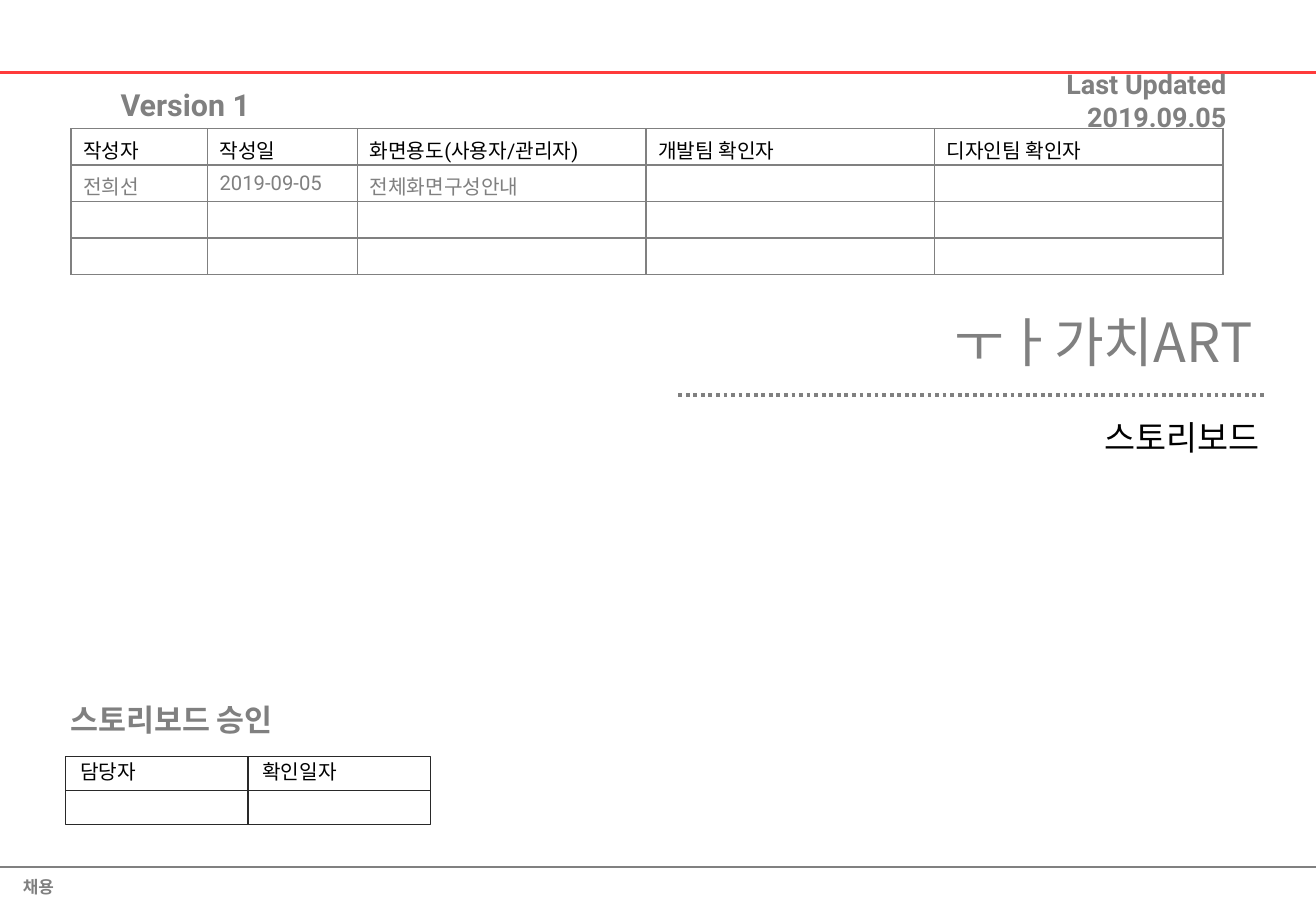
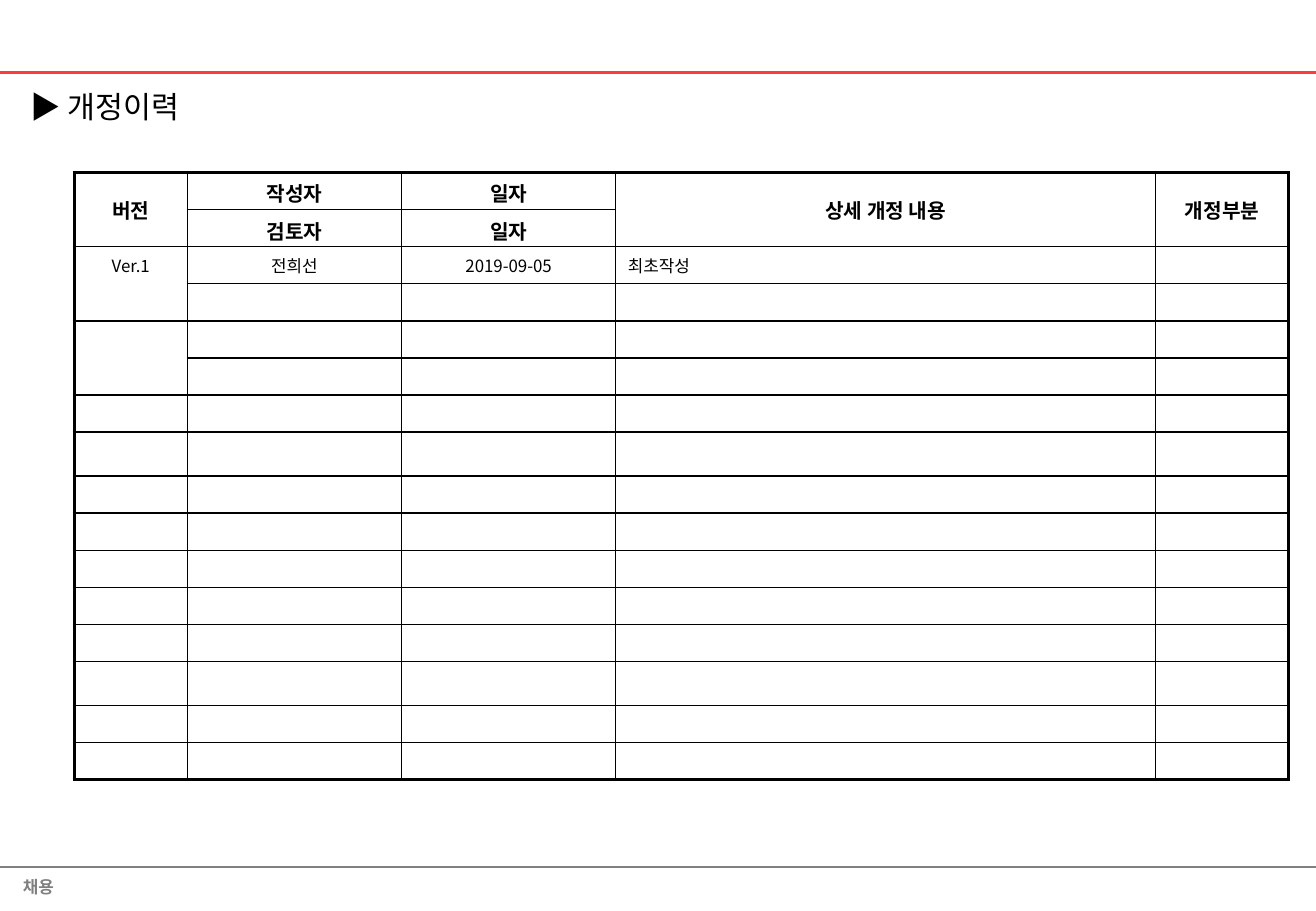
from lxml.etree import SubElement
from pptx import Presentation
from pptx.dml.color import RGBColor
from pptx.enum.dml import MSO_LINE
from pptx.enum.shapes import MSO_CONNECTOR, MSO_SHAPE
from pptx.enum.text import MSO_ANCHOR, MSO_AUTO_SIZE, PP_ALIGN
from pptx.oxml.ns import qn
from pptx.util import Pt

COLORS = {"red": "FF0000", "gray": "808080", "black": "000000", "frame": "292929"}
KOREAN, LATIN = "Noto Sans CJK KR", "Roboto"
WIDTH, HEIGHT = 780, 540
THIN, THICK = 1, 2.25


def color(name):
    """Look up a palette colour."""
    return RGBColor.from_string(COLORS[name])


def format_para(para, size, ink="black", bold=False, font=KOREAN, align=PP_ALIGN.LEFT):
    """Format every run of a paragraph, or the size of an empty one."""
    para.alignment = align
    if not para.runs:
        SubElement(para._p, qn("a:endParaRPr"), sz=str(size * 100))
    for span in para.runs:
        span.font.size, span.font.bold, span.font.name = Pt(size), bold, font
        span.font.color.rgb = color(ink)
        SubElement(span.font._element, qn("a:ea"), typeface=KOREAN)


def add_text(shapes, text, box, size, wrap=True, grow=True, **style):
    """Place a one-paragraph text box and return its frame."""
    frame = shapes.add_textbox(*map(Pt, box)).text_frame
    frame.text = text
    frame.word_wrap = wrap
    frame.auto_size = MSO_AUTO_SIZE.SHAPE_TO_FIT_TEXT if grow else MSO_AUTO_SIZE.NONE
    format_para(frame.paragraphs[0], size, **style)
    return frame


def add_rule(page, left, right, top, ink, weight):
    """Draw a horizontal rule without a shadow."""
    rule = page.shapes.add_connector(
        MSO_CONNECTOR.STRAIGHT, Pt(left), Pt(top), Pt(right), Pt(top))
    rule.line.color.rgb = color(ink)
    rule.line.width = Pt(weight)
    SubElement(rule._element.spPr, qn("a:effectLst"))
    return rule


def add_page(deck):
    """Start a page with the shared header rule and footer."""
    page = deck.slides.add_slide(deck.slide_layouts[6])
    header = add_rule(page, 0, WIDTH, 43, "red", 1.5)
    tint = header.line._ln.find(".//" + qn("a:srgbClr"))
    SubElement(tint, qn("a:alpha"), val="76000")
    add_rule(page, 0, WIDTH, 514, "gray", 0.75)
    add_text(page.shapes, "채용", (6.5, 516, 34.5, 19.5), 10,
             wrap=False, ink="gray", bold=True)
    return page


def set_borders(cell, ink, widths):
    """Give a cell solid left, right, top and bottom borders and no fill."""
    properties = cell._tc.get_or_add_tcPr()
    for side, width in zip("LRTB", widths):
        line = SubElement(properties, qn("a:ln" + side), w=str(Pt(width)))
        fill = SubElement(line, qn("a:solidFill"))
        SubElement(fill, qn("a:srgbClr"), val=COLORS[ink])
    cell.fill.background()


def add_grid(page, left, top, columns, rows, ink, outer=THIN):
    """Add an unstyled table with ruled cells."""
    table = page.shapes.add_table(len(rows), len(columns), Pt(left), Pt(top),
                                  Pt(sum(columns)), Pt(sum(rows))).table
    table.first_row = table.horz_banding = False
    for column, width in zip(table.columns, columns):
        column.width = Pt(width)
    for row, height in zip(table.rows, rows):
        row.height = Pt(height)
    last_row, last_column = len(rows) - 1, len(columns) - 1
    for r in range(len(rows)):
        for c in range(len(columns)):
            edges = (c == 0, c == last_column, r == 0, r == last_row)
            cell = table.cell(r, c)
            cell.margin_bottom = 0
            set_borders(cell, ink, [outer if edge else THIN for edge in edges])
    return table


def fill_grid(table, texts, style_of):
    """Write the texts; style_of(row, column) gives each cell's format."""
    for r in range(len(table.rows)):
        for c in range(len(table.columns)):
            cell = table.cell(r, c)
            text = texts[r][c] if r < len(texts) else ""
            if text:
                cell.text = text
            format_para(cell.text_frame.paragraphs[0], **style_of(r, c))


def add_author_table(page, left, top):
    """Add the table of authors and reviewers."""
    table = add_grid(page, left, top, [81, 89] + [171] * 3, [21.6] * 4, "gray")
    texts = [
        ["작성자", "작성일", "화면용도(사용자/관리자)", "개발팀 확인자", "디자인팀 확인자"],
        ["전희선", "2019-09-05", "전체화면구성안내", "", ""],
    ]
    fill_grid(table, texts, lambda r, c: dict(
        size=12, font=LATIN, ink="gray" if r else "black"))


def add_approval(page, left, top):
    """Add the two-by-two approval boxes with their labels."""
    group = page.shapes.add_group_shape()
    width, height = 108, 20.2
    for c, label in enumerate(["담당자", "확인일자"]):
        for r in range(2):
            frame = group.shapes.add_shape(
                MSO_SHAPE.RECTANGLE, Pt(left + c * width), Pt(top + r * height),
                Pt(width), Pt(height))
            frame.shadow.inherit = False
            frame.fill.background()
            frame.line.color.rgb = color("frame")
            frame.line.width = Pt(0.75)
        add_text(group.shapes, label,
                 (left + c * width + 1.4, top - 2.2, 50 + 12 * c, 21.8), 12, wrap=False)


def add_cover(deck):
    """Build the storyboard cover."""
    page = add_page(deck)
    heading = dict(ink="gray", bold=True, font=LATIN)
    dots = add_rule(page, 402, 750, 234, "gray", 2.25)
    dots.line.dash_style = MSO_LINE.ROUND_DOT
    subtitle = add_text(page.shapes, "스토리보드", (303, 236, 451, 62.6), 20,
                        grow=False, align=PP_ALIGN.RIGHT)
    subtitle.paragraphs[0].line_spacing = 1.3
    title = add_text(page.shapes, "ㅜㅏ가치ART", (56, 185, 693.5, 34.6), 32,
                     grow=False, ink="gray", align=PP_ALIGN.RIGHT)
    title.vertical_anchor = MSO_ANCHOR.MIDDLE
    version = add_text(page.shapes, "Version 1", (42.5, 47.5, 152, 28.8), 18, **heading)
    version.margin_left = Pt(29)
    add_author_table(page, 42, 76.3)
    add_text(page.shapes, "Last Updated 2019.09.05", (596, 36.7, 138, 46), 16,
             align=PP_ALIGN.RIGHT, **heading)
    add_approval(page, 39, 448.5)
    add_text(page.shapes, "스토리보드 승인", (34.6, 412, 152.6, 28.8), 18, **heading)


def add_revision_table(page, left, top):
    """Add the revision table with its merged heading and version cells."""
    rows = [26 if r in (7, 13) else 22 for r in range(16)]
    table = add_grid(page, left, top, [67, 127, 127, 320, 79], rows, "black", THICK)
    for r, c in [(0, 0), (0, 3), (0, 4), (2, 0), (4, 0)]:
        cell = table.cell(r, c)
        cell.merge(table.cell(r + 1, c))
        if r == 0:
            cell.vertical_anchor = MSO_ANCHOR.MIDDLE
            cell.margin_bottom = Pt(3.6)
    texts = [
        ["버전", "작성자", "일자", "상세 개정 내용", "개정부분"],
        ["", "검토자", "일자", "", ""],
        ["Ver.1", "전희선", "2019-09-05", "최초작성", ""],
    ]
    fill_grid(table, texts, lambda r, c: dict(
        size=12 if r < 2 else 10, bold=r < 2,
        align=PP_ALIGN.LEFT if r >= 2 and c == 3 else PP_ALIGN.CENTER))


def add_history(deck):
    """Build the revision history page."""
    page = add_page(deck)
    add_text(page.shapes, "▶ 개정이력", (11, 49, 110, 28.8), 18, wrap=False)
    add_revision_table(page, 44, 102.2)


deck = Presentation()
deck.slide_width, deck.slide_height = Pt(WIDTH), Pt(HEIGHT)
add_cover(deck)
add_history(deck)
deck.save("out.pptx")
